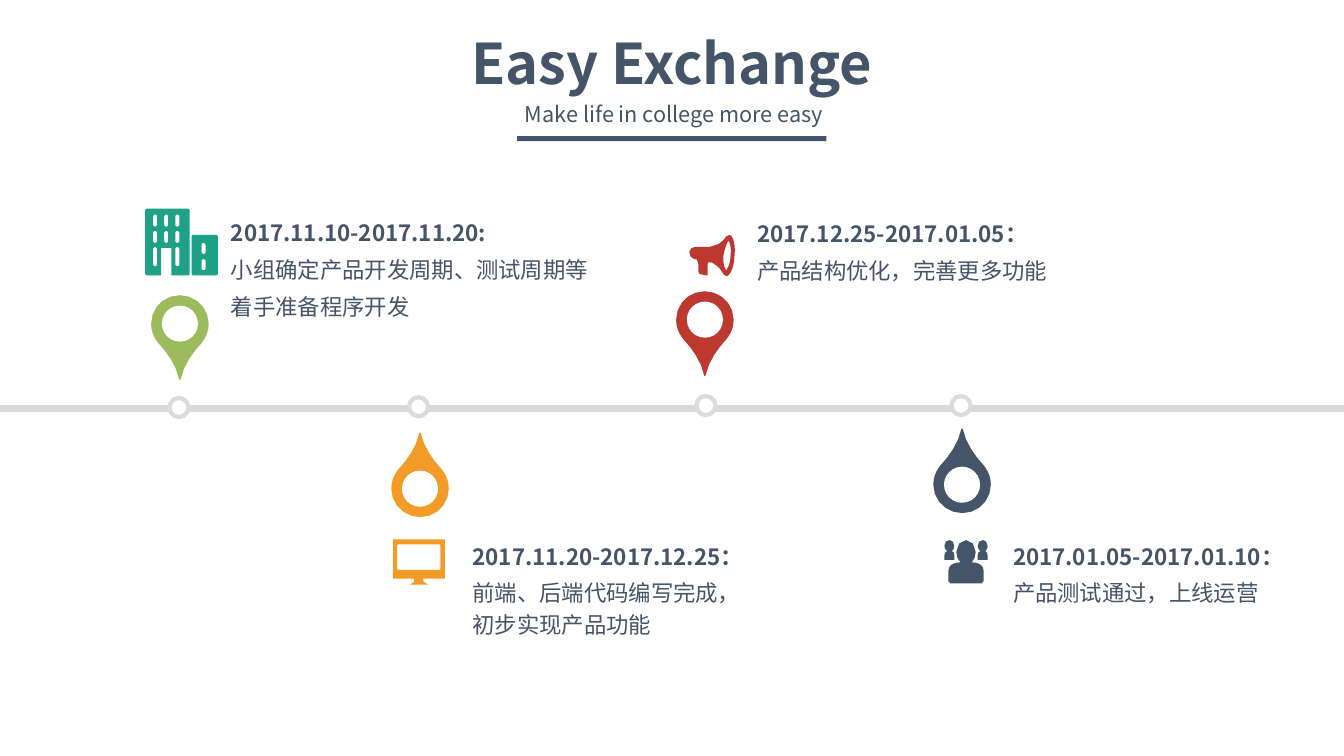
"""Build the project timeline slide with four dated milestones."""
from dataclasses import dataclass

from lxml import etree
from pptx import Presentation
from pptx import util as u
from pptx.dml.color import RGBColor
from pptx.enum import shapes, text
from pptx.oxml import ns
from pptx.shapes.autoshape import Shape
from pptx.shapes.shapetree import _BaseGroupShapes as Canvas

NAVY = RGBColor(0x44, 0x54, 0x69)
TEAL = RGBColor(0x1E, 0xA1, 0x85)
GREEN = RGBColor(0x9B, 0xBB, 0x5C)
ORANGE = RGBColor(0xF2, 0x9B, 0x26)
RED = RGBColor(0xBD, 0x39, 0x2F)
RAIL_GREY = RGBColor(0xD9, 0xD9, 0xD9)
NODE_GREY = RGBColor(0xDB, 0xDB, 0xDB)
WHITE = RGBColor(0xFF, 0xFF, 0xFF)
FONT = "Noto Sans CJK SC"
LONG_CURVE, LONG_STEPS, SHORT_STEPS = 0.3, 5, 2
PIN_HEIGHT, PIN_EYE, EYE_INSET = 2.13, 0.91, 0.26

Point = tuple[float, float]
Contour = list[tuple[Point, ...]]


def polygon(*corners: Point) -> Contour:
    return [(corner,) for corner in corners]


def bevelled(left: float, top: float, width: float, height: float, cut: float) -> Contour:
    right, bottom = left + width, top + height
    return polygon((left + cut, top), (right - cut, top), (right, top + cut),
                   (right, bottom - cut), (right - cut, bottom), (left + cut, bottom),
                   (left, bottom - cut), (left, top + cut))


def window(left: float, top: float, height: float) -> Contour:
    return bevelled(left, top, 0.1, height, 0.03)


def shifted(contour: Contour, dx: float) -> Contour:
    return [tuple((x + dx, y) for x, y in segment) for segment in contour]


PIN: Contour = [
    ((1.45, 0.72),), ((1.45, 0.32), (1.12, 0), (0.72, 0)), ((0.32, 0), (0, 0.32), (0, 0.72)),
    ((0, 0.92), (0.08, 1.09), (0.2, 1.23)), ((0.2, 1.23), (0.62, 1.65), (0.71, 2.13)),
    ((0.74, 2.13),), ((0.83, 1.65), (1.25, 1.23), (1.25, 1.23)),
    ((1.37, 1.09), (1.45, 0.92), (1.45, 0.72)),
]
TOWER = [
    polygon((0.03, 0), (1.09, 0), (1.12, 0.03), (1.12, 1.65), (1.09, 1.68), (0.66, 1.68),
            (0.66, 0.99), (0.4, 0.99), (0.4, 1.68), (0.03, 1.68), (0, 1.65), (0, 0.03)),
    *[window(0.2 + 0.28 * column, top, 0.3) for column in range(3) for top in (0.15, 0.56)],
    *[window(left, 0.97, 0.48) for left in (0.2, 0.76)],
]
ANNEX = [bevelled(0, 0, 0.66, 1.02, 0.03), window(0.25, 0.2, 0.28), window(0.25, 0.61, 0.28)]
MONITOR = [
    polygon((0, 0), (1.3, 0), (1.3, 0.99), (0.76, 0.99), (0.76, 1.07), (0.89, 1.14),
            (0.43, 1.14), (0.53, 1.07), (0.53, 0.99), (0, 0.99)),
    bevelled(0.1, 0.13, 1.09, 0.64, 0.02),
]
MEGAPHONE: list[Contour] = [
    [((1.14, 0.53),), ((1.17, 0.28), (1.12, 0.03), (1.02, 0)),
     ((0.84, 0), (0.94, 0.38), (0.15, 0.3)), ((0.08, 0.3), (0, 0.36), (0, 0.43)),
     ((0, 0.51), (0.05, 0.61), (0.13, 0.61)), ((0.18, 0.61),),
     ((0.2, 0.71), (0.25, 0.69), (0.23, 0.74)), ((0.23, 0.91),),
     ((0.23, 0.94), (0.23, 0.99), (0.28, 0.99)), ((0.43, 1.02),),
     ((0.46, 1.04), (0.48, 1.02), (0.46, 0.97)), ((0.46, 0.74),),
     ((0.43, 0.69), (0.51, 0.69), (0.56, 0.69)), ((0.86, 0.84), (0.81, 1.02), (0.94, 1.04)),
     ((1.02, 1.04), (1.14, 0.81), (1.14, 0.53))],
    [((0.94, 0.89),), ((0.91, 0.89), (0.84, 0.74), (0.86, 0.53)),
     ((0.89, 0.33), (0.97, 0.15), (0.99, 0.15)), ((1.02, 0.18), (1.07, 0.33), (1.04, 0.53)),
     ((1.04, 0.76), (0.94, 0.86), (0.94, 0.89))],
]
SIDE_PERSON: Contour = [
    ((0.19, 0.28),), ((0.24, 0.29), (0.25, 0.33), (0.25, 0.4)), ((0.25, 0.5),), ((0, 0.5),),
    ((0, 0.4),), ((0, 0.33), (0.01, 0.29), (0.07, 0.28)), ((0.03, 0.25), (0, 0.2), (0, 0.15)),
    ((0, 0.05), (0.06, 0), (0.13, 0)), ((0.19, 0), (0.25, 0.05), (0.25, 0.15)),
    ((0.25, 0.2), (0.23, 0.25), (0.19, 0.28)),
]
FRONT_PERSON: Contour = [
    ((0.69, 0.56),), ((0.86, 0.57), (0.99, 0.62), (0.99, 0.79)), ((0.99, 1.04),),
    ((0.94, 1.09),), ((0.15, 1.09),), ((0.1, 1.04),), ((0.1, 0.79),),
    ((0.1, 0.62), (0.23, 0.57), (0.41, 0.56)), ((0.34, 0.5), (0.3, 0.41), (0.3, 0.3)),
    ((0.3, 0.13), (0.41, 0), (0.55, 0)), ((0.68, 0), (0.79, 0.13), (0.79, 0.3)),
    ((0.79, 0.41), (0.75, 0.5), (0.69, 0.56)),
]
TEAM = [SIDE_PERSON, FRONT_PERSON, shifted(SIDE_PERSON, 0.84)]


@dataclass(frozen=True)
class Icon:
    left: float
    top: float
    color: RGBColor
    contours: list[Contour]


@dataclass(frozen=True)
class Milestone:
    node: Point
    pin: Point
    color: RGBColor
    hanging: bool
    caption: tuple[float, float, float]
    lines: tuple[str, ...]


MILESTONES = [
    Milestone((4.27, 10.03), (3.81, 7.44), GREEN, False, (5.49, 5.21, 9.91),
              ("2017.11.10-2017.11.20:", "小组确定产品开发周期、测试周期等", "着手准备程序开发")),
    Milestone((10.31, 10.01), (9.86, 10.9), ORANGE, True, (11.58, 13.36, 7.95),
              ("2017.11.20-2017.12.25：", "前端、后端代码编写完成，初步实现产品功能")),
    Milestone((17.55, 9.98), (17.04, 7.34), RED, False, (18.75, 5.23, 10.95),
              ("2017.12.25-2017.01.05：", "产品结构优化，完善更多功能")),
    Milestone((23.98, 9.98), (23.52, 10.8), NAVY, True, (25.2, 13.36, 7.92),
              ("2017.01.05-2017.01.10：", "产品测试通过，上线运营")),
]
ICONS = [
    Icon(4.83, 5.92, TEAL, ANNEX), Icon(3.66, 5.26, TEAL, TOWER),
    Icon(9.91, 13.59, ORANGE, MONITOR), Icon(17.37, 5.92, RED, MEGAPHONE),
    Icon(23.8, 13.61, NAVY, TEAM),
]


def paint(shape: Shape, fill: RGBColor) -> Shape:
    shape.shadow.inherit = False
    shape.fill.solid()
    shape.fill.fore_color.rgb = fill
    shape.line.fill.background()
    return shape


def add_preset(canvas: Canvas, kind: shapes.MSO_SHAPE, left: float, top: float, width: float,
               height: float, fill: RGBColor) -> Shape:
    return paint(canvas.add_shape(kind, u.Cm(left), u.Cm(top), u.Cm(width), u.Cm(height)), fill)


def trace(contour: Contour) -> list[Point]:
    points = [contour[0][0]]
    for segment in contour[1:]:
        if len(segment) == 1:
            points.append(segment[0])
            continue
        anchors = (points[-1], *segment)
        reach = max(abs(end - start) for start, end in zip(anchors[0], anchors[-1]))
        steps = LONG_STEPS if reach > LONG_CURVE else SHORT_STEPS
        for step in range(1, steps + 1):
            t = step / steps
            weights = ((1 - t) ** 3, 3 * t * (1 - t) ** 2, 3 * t * t * (1 - t), t ** 3)
            points.append(tuple(sum(w * a[axis] for w, a in zip(weights, anchors))
                                for axis in (0, 1)))
    return points


def add_icon(canvas: Canvas, icon: Icon) -> Shape:
    outlines = [[(u.Cm(icon.left + x), u.Cm(icon.top + y)) for x, y in trace(contour)]
                for contour in icon.contours]
    builder = canvas.build_freeform(*outlines[0][0])
    for index, outline in enumerate(outlines):
        if index:
            builder.move_to(*outline[0])
        builder.add_line_segments(outline[1:], close=True)
    return paint(builder.convert_to_shape(), icon.color)


def add_text(canvas: Canvas, box: tuple[float, float, float, float], lines: tuple[str, ...],
             size: float, inset: Point, bold_first: bool, centred: bool, spaced: bool) -> None:
    frame = canvas.add_textbox(*(u.Cm(length) for length in box)).text_frame
    frame.word_wrap = True
    frame.margin_left = frame.margin_right = u.Cm(inset[0])
    frame.margin_top = frame.margin_bottom = u.Cm(inset[1])
    frame.text = "\n".join(lines)
    for index, paragraph in enumerate(frame.paragraphs):
        paragraph.alignment = text.PP_ALIGN.CENTER if centred else text.PP_ALIGN.LEFT
        if spaced:
            paragraph.line_spacing = 1.2
            paragraph.space_before = u.Pt(size * 0.2)
        for run in paragraph.runs:
            run.font.size, run.font.name = u.Pt(size), FONT
            run.font.bold = bold_first and index == 0
            run.font.color.rgb = NAVY
            etree.SubElement(run.font._element, ns.qn("a:ea"), typeface=FONT)


def add_milestone(canvas: Canvas, stop: Milestone) -> None:
    node = add_preset(canvas, shapes.MSO_SHAPE.OVAL, *stop.node, 0.48, 0.48, WHITE)
    node.line.color.rgb, node.line.width = NODE_GREY, u.Pt(3)
    left, top = stop.pin
    drop = add_icon(canvas, Icon(left, top, stop.color, [PIN]))
    drop.rotation = 180 if stop.hanging else 0
    eye_top = top + (PIN_HEIGHT - EYE_INSET - PIN_EYE if stop.hanging else EYE_INSET)
    add_preset(canvas, shapes.MSO_SHAPE.OVAL, left + 0.27, eye_top, PIN_EYE, PIN_EYE, WHITE)
    add_text(canvas, (*stop.caption, 4.22), stop.lines, 16, (0.33, 0.18), True, False, True)


def main() -> None:
    deck = Presentation()
    deck.slide_width, deck.slide_height = u.Cm(33.87), u.Cm(19.05)
    canvas = deck.slides.add_slide(deck.slide_layouts[6]).shapes
    rail = add_preset(canvas, shapes.MSO_SHAPE.RECTANGLE, 0, 10.21, 33.87, 0.15, RAIL_GREY)
    rail.line.color.rgb, rail.line.width = RAIL_GREY, u.Pt(0.5)
    for stop in MILESTONES:
        add_milestone(canvas, stop)
    for icon in ICONS:
        add_icon(canvas, icon)
    add_text(canvas, (2.39, 0.66, 29.08, 1.83), ("Easy Exchange",), 40, (0.13, 0.05),
             True, True, False)
    add_preset(canvas, shapes.MSO_SHAPE.RECTANGLE, 13.03, 3.43, 7.8, 0.13, NAVY)
    add_text(canvas, (3.28, 2.26, 27.41, 1.17), ("Make life in college more easy",), 15.5,
             (0.3, 0.15), False, True, True)
    deck.save("out.pptx")


if __name__ == "__main__":
    main()
